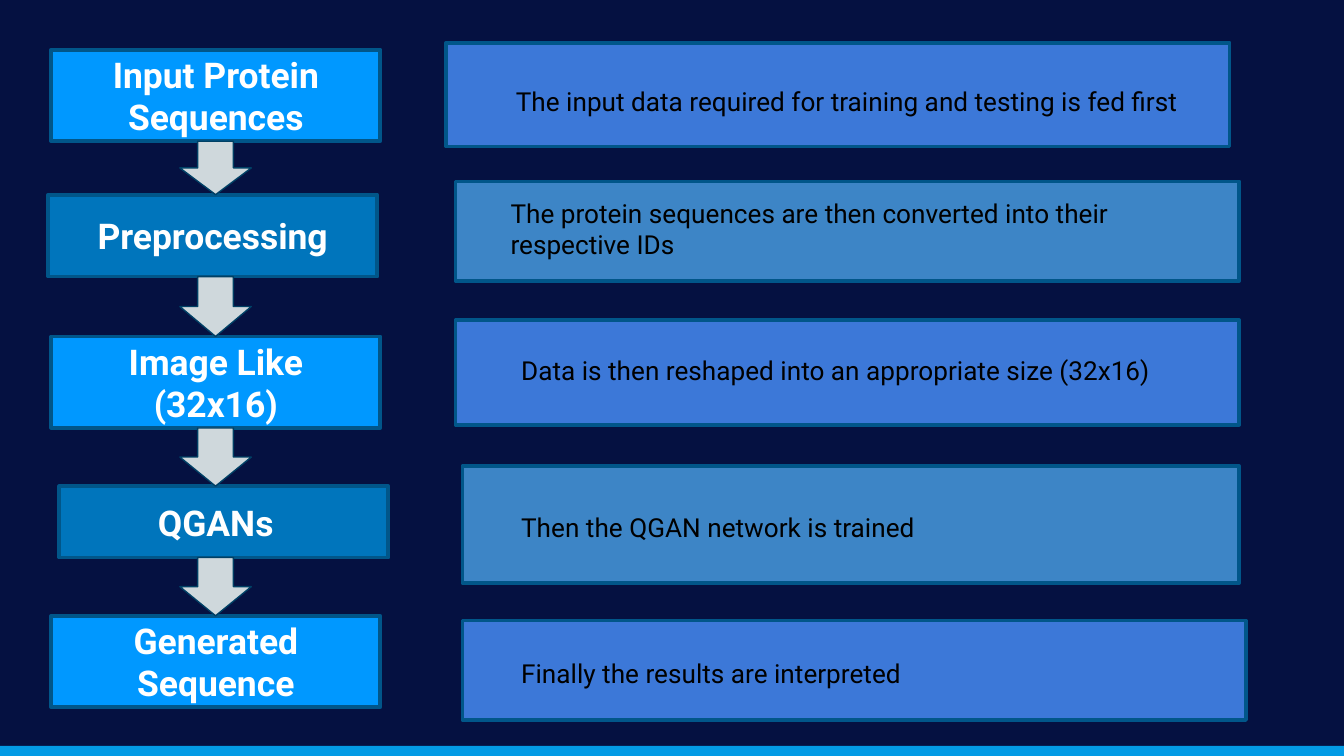
from dataclasses import dataclass
from itertools import pairwise

from pptx import Presentation
from pptx.dml.color import RGBColor
from pptx.enum.shapes import MSO_SHAPE
from pptx.enum.text import MSO_ANCHOR, PP_ALIGN
from pptx.shapes.autoshape import Shape
from pptx.slide import Slide
from pptx.util import Cm, Pt


@dataclass(frozen=True)
class Theme:
    background: str = "051141"
    footer: str = "039BE5"
    step_fills: tuple[str, str] = ("0098FF", "0075BC")
    panel_fills: tuple[str, str] = ("3C78D8", "3D85C6")
    box_line: str = "015689"
    arrow_fill: str = "CFD8DC"
    arrow_line: str = "004065"
    step_text: str = "FFFFFF"
    caption_text: str = "000000"
    font: str = "Roboto"
    step_size: float = 19
    caption_size: float = 14
    box_line_width: float = 2
    arrow_line_width: float = 0.75


@dataclass(frozen=True)
class Box:
    """A rectangle in centimetres."""
    left: float
    top: float
    width: float
    height: float

    @property
    def bottom(self) -> float:
        return self.top + self.height

    def lengths(self) -> tuple[Cm, Cm, Cm, Cm]:
        return Cm(self.left), Cm(self.top), Cm(self.width), Cm(self.height)


@dataclass(frozen=True)
class Stage:
    title: str
    title_box: Box
    panel_box: Box
    caption: str
    caption_box: Box
    extra_right_margin: float = 0


THEME = Theme()
SLIDE_WIDTH, SLIDE_HEIGHT = 25.4, 14.29
STEP_WIDTH = 6.22
TWO_LINE_HEIGHT = 1.73
PANEL_WIDTH = 14.81
CAPTION_WIDTH = 15.52
ARROW_LEFT, ARROW_WIDTH = 3.4, 1.35
CAPTION_MARGIN = 0.25
FOOTER = Box(0, 14.1, SLIDE_WIDTH, 0.19)

STAGES = [
    Stage("Input Protein Sequences", Box(0.97, 0.94, STEP_WIDTH, TWO_LINE_HEIGHT),
          Box(8.43, 0.81, PANEL_WIDTH, 1.96),
          "The input data required for training and testing is fed first",
          Box(9.5, 1.37, 13.06, 1.7)),
    Stage("Preprocessing", Box(0.91, 3.68, STEP_WIDTH, 1.55),
          Box(8.61, 3.43, PANEL_WIDTH, 1.88),
          "The protein sequences are then converted into their\nrespective IDs",
          Box(9.4, 3.48, CAPTION_WIDTH, 1.7)),
    Stage("Image Like (32x16)", Box(0.97, 6.36, STEP_WIDTH, TWO_LINE_HEIGHT),
          Box(8.61, 6.05, PANEL_WIDTH, 1.98),
          "Data is then reshaped into an appropriate size (32x16)",
          Box(9.6, 6.45, CAPTION_WIDTH, 1.09)),
    Stage("QGANs", Box(1.12, 9.19, STEP_WIDTH, 1.35),
          Box(8.74, 8.81, 14.68, 2.21),
          "Then the QGAN network is trained",
          Box(9.6, 9.42, CAPTION_WIDTH, 1.09), extra_right_margin=0.3),
    Stage("Generated Sequence", Box(0.97, 11.64, STEP_WIDTH, TWO_LINE_HEIGHT),
          Box(8.74, 11.73, PANEL_WIDTH, 1.88),
          "Finally the results are interpreted",
          Box(9.6, 12.17, CAPTION_WIDTH, 1.09)),
]


def add_filled_shape(slide: Slide, kind: MSO_SHAPE, box: Box, fill: str,
                     line: str | None = None, line_width: float = 0) -> Shape:
    shape = slide.shapes.add_shape(kind, *box.lengths())
    shape.shadow.inherit = False
    shape.fill.solid()
    shape.fill.fore_color.rgb = RGBColor.from_string(fill)
    if line is None:
        shape.line.fill.background()
    else:
        shape.line.color.rgb = RGBColor.from_string(line)
        shape.line.width = Pt(line_width)
    return shape


def write_text(shape: Shape, text: str, size: float, color: str,
               alignment: PP_ALIGN, bold: bool = False) -> None:
    text_frame = shape.text_frame
    text_frame.text = text
    text_frame.word_wrap = True
    for paragraph in text_frame.paragraphs:
        paragraph.alignment = alignment
        for run in paragraph.runs:
            run.font.name = THEME.font
            run.font.size = Pt(size)
            run.font.bold = bold
            run.font.color.rgb = RGBColor.from_string(color)


def add_box(slide: Slide, box: Box, fill: str) -> Shape:
    return add_filled_shape(slide, MSO_SHAPE.RECTANGLE, box, fill,
                            THEME.box_line, THEME.box_line_width)


def add_step(slide: Slide, stage: Stage, fill: str) -> None:
    shape = add_box(slide, stage.title_box, fill)
    write_text(shape, stage.title, THEME.step_size, THEME.step_text,
               PP_ALIGN.CENTER, bold=True)
    text_frame = shape.text_frame
    text_frame.vertical_anchor = MSO_ANCHOR.MIDDLE
    text_frame.margin_top = text_frame.margin_bottom = Cm(0)
    text_frame.margin_right += Cm(stage.extra_right_margin)


def add_arrow(slide: Slide, upper: Box, lower: Box) -> None:
    """Fill the gap between two steps with a down arrow."""
    gap = Box(ARROW_LEFT, upper.bottom, ARROW_WIDTH, lower.top - upper.bottom)
    add_filled_shape(slide, MSO_SHAPE.DOWN_ARROW, gap, THEME.arrow_fill,
                     THEME.arrow_line, THEME.arrow_line_width)


def add_caption(slide: Slide, stage: Stage) -> None:
    text_box = slide.shapes.add_textbox(*stage.caption_box.lengths())
    write_text(text_box, stage.caption, THEME.caption_size,
               THEME.caption_text, PP_ALIGN.LEFT)
    text_frame = text_box.text_frame
    text_frame.margin_left = text_frame.margin_right = Cm(CAPTION_MARGIN)
    text_frame.margin_top = text_frame.margin_bottom = Cm(CAPTION_MARGIN)


def main() -> None:
    presentation = Presentation()
    presentation.slide_width = Cm(SLIDE_WIDTH)
    presentation.slide_height = Cm(SLIDE_HEIGHT)
    slide = presentation.slides.add_slide(presentation.slide_layouts[6])
    slide.background.fill.solid()
    slide.background.fill.fore_color.rgb = RGBColor.from_string(THEME.background)

    add_filled_shape(slide, MSO_SHAPE.RECTANGLE, FOOTER, THEME.footer)
    for index, stage in enumerate(STAGES):
        add_step(slide, stage, THEME.step_fills[index % 2])
    for index, stage in enumerate(STAGES):
        add_box(slide, stage.panel_box, THEME.panel_fills[index % 2])
    for upper, lower in pairwise(STAGES):
        add_arrow(slide, upper.title_box, lower.title_box)
    for stage in STAGES:
        add_caption(slide, stage)

    presentation.save("out.pptx")


if __name__ == "__main__":
    main()
